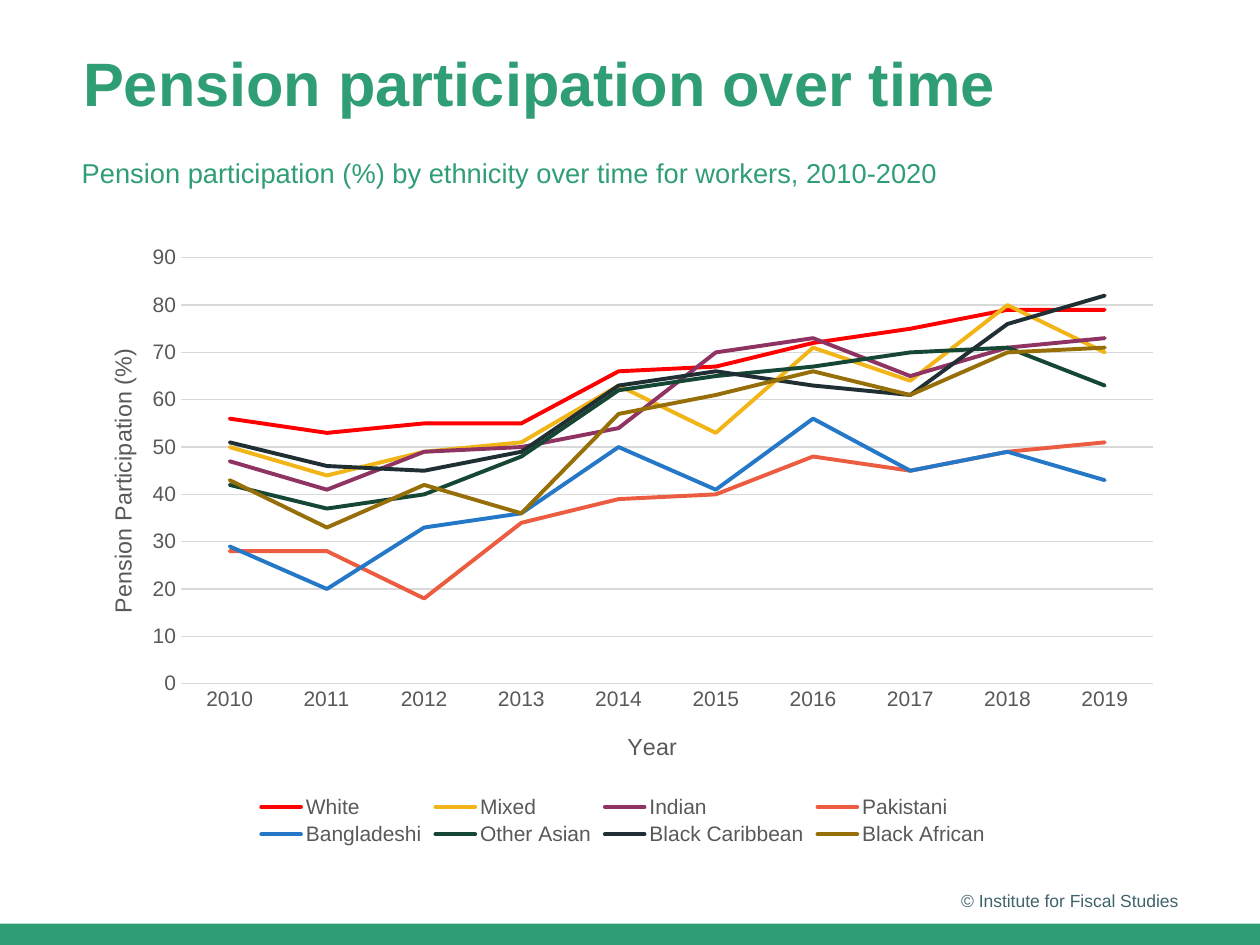
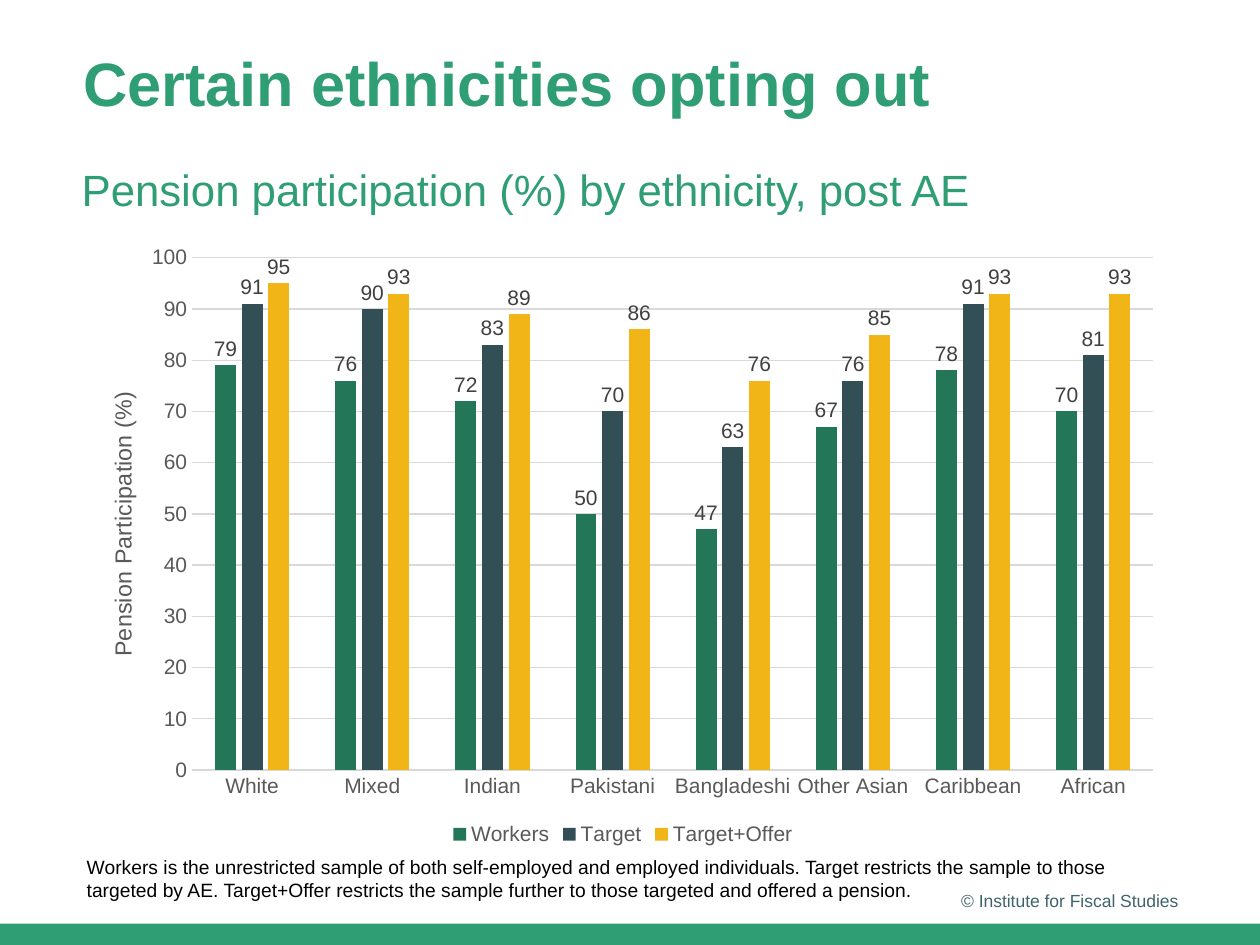
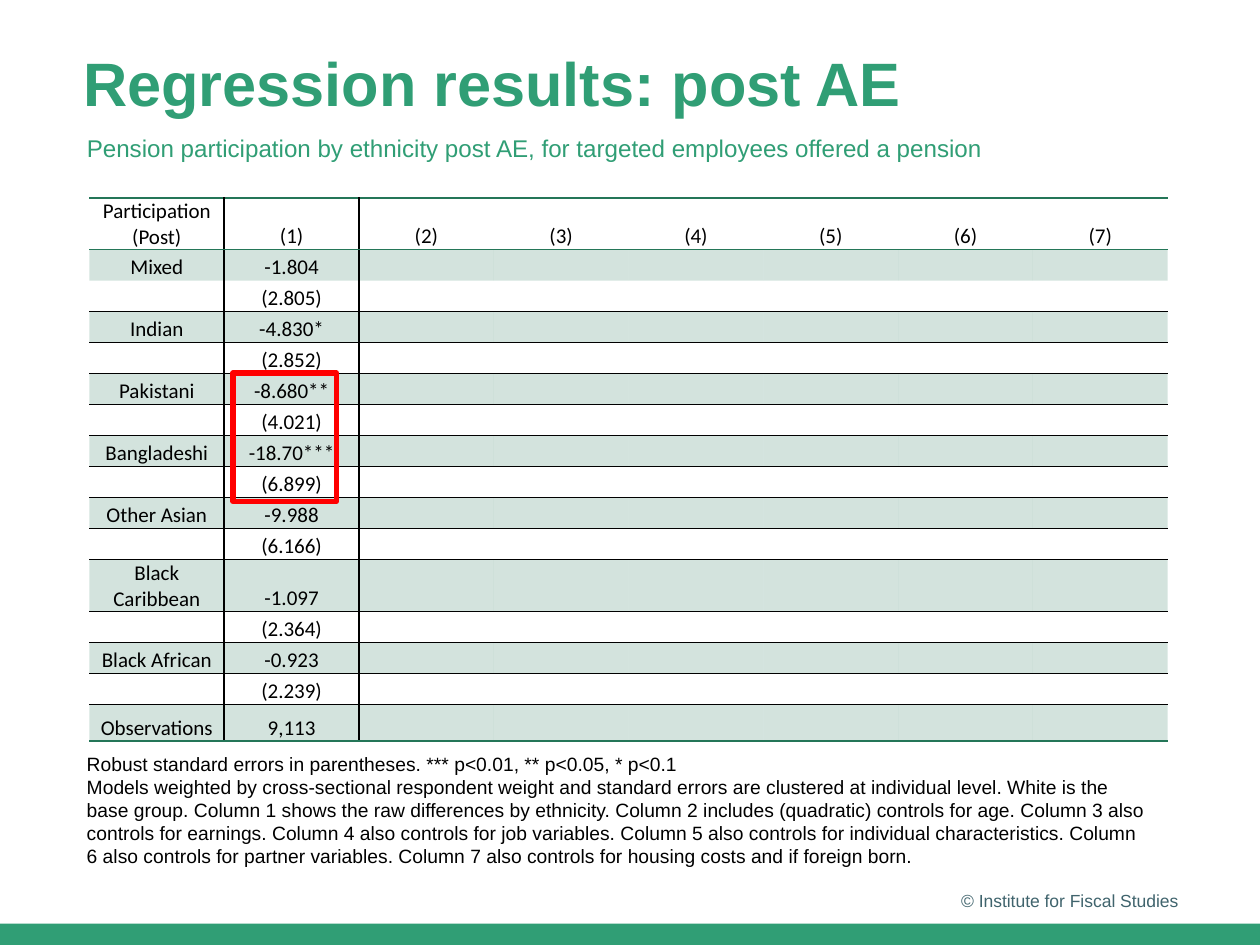
from lxml import etree
from pptx import Presentation
from pptx import util as u
from pptx.chart.data import CategoryChartData
from pptx.dml.color import RGBColor
from pptx.enum import chart as charts, shapes, text
from pptx.oxml.ns import qn

GREEN = RGBColor(0x30, 0x9E, 0x75)
DARK_GREEN = RGBColor(0x24, 0x76, 0x58)
SLATE = RGBColor(0x33, 0x4F, 0x56)
FOOTER_GREY = RGBColor(0x40, 0x64, 0x6D)
AXIS_GREY = RGBColor(0x59, 0x59, 0x59)
LABEL_GREY = RGBColor(0x40, 0x40, 0x40)
GRID_GREY = RGBColor(0xD9, 0xD9, 0xD9)
BLACK = RGBColor(0, 0, 0)
RED = RGBColor(0xFF, 0, 0)
YELLOW = RGBColor(0xF2, 0xB5, 0x17)
PLUM = RGBColor(0x8F, 0x33, 0x63)
CORAL = RGBColor(0xEB, 0x5C, 0x40)
BLUE = RGBColor(0x24, 0x78, 0xC7)
FOREST = RGBColor(0x16, 0x47, 0x35)
INK = RGBColor(0x1F, 0x2F, 0x34)
BRONZE = RGBColor(0x97, 0x6F, 0x08)

WIDTH, HEIGHT = 10, 7.5
BAND_HEIGHT = 0.17
CHART_BOX = (0.56, 1.85, 8.77, 4.9)
SUBTITLE_BOX = (0.55, 1.24, 7.52, 0.52)
TABLE_BOX = (0.71, 1.57, 8.56, 4.31)
TALL_ROW, LAST_ROW = 0.41, 0.29
NO_TABLE_STYLE = "{2D5ABB26-0587-4C30-8999-92F81FD0307C}"

YEARS = [str(year) for year in range(2010, 2020)]
TREND_SERIES = [
    ("White", RED, [56, 53, 55, 55, 66, 67, 72, 75, 79, 79]),
    ("Mixed", YELLOW, [50, 44, 49, 51, 63, 53, 71, 64, 80, 70]),
    ("Indian", PLUM, [47, 41, 49, 50, 54, 70, 73, 65, 71, 73]),
    ("Pakistani", CORAL, [28, 28, 18, 34, 39, 40, 48, 45, 49, 51]),
    ("Bangladeshi", BLUE, [29, 20, 33, 36, 50, 41, 56, 45, 49, 43]),
    ("Other Asian", FOREST, [42, 37, 40, 48, 62, 65, 67, 70, 71, 63]),
    ("Black Caribbean", INK, [51, 46, 45, 49, 63, 66, 63, 61, 76, 82]),
    ("Black African", BRONZE, [43, 33, 42, 36, 57, 61, 66, 61, 70, 71]),
]
ETHNICITIES = ["White", "Mixed", "Indian", "Pakistani", "Bangladeshi",
               "Other Asian", "Caribbean", "African"]
SAMPLE_SERIES = [
    ("Workers", DARK_GREEN, [79, 76, 72, 50, 47, 67, 78, 70]),
    ("Target", SLATE, [91, 90, 83, 70, 63, 76, 91, 81]),
    ("Target+Offer", YELLOW, [95, 93, 89, 86, 76, 85, 93, 93]),
]
ESTIMATES = [
    ("Mixed", "-1.804", "(2.805)"),
    ("Indian", "-4.830*", "(2.852)"),
    ("Pakistani", "-8.680**", "(4.021)"),
    ("Bangladeshi", "-18.70***", "(6.899)"),
    ("Other Asian", "-9.988", "(6.166)"),
    ("Black Caribbean", "-1.097", "(2.364)"),
    ("Black African", "-0.923", "(2.239)"),
]
SAMPLE_NOTE = (
    "Workers is the unrestricted sample of both self-employed and employed individuals. "
    "Target restricts the sample to those targeted by AE. Target+Offer restricts the sample "
    "further to those targeted and offered a pension.")
REGRESSION_NOTES = (
    "Robust standard errors in parentheses. *** p<0.01, ** p<0.05, * p<0.1",
    "Models weighted by cross-sectional respondent weight and standard errors are clustered "
    "at individual level. White is the base group. Column 1 shows the raw differences by "
    "ethnicity. Column 2 includes (quadratic) controls for age. Column 3 also controls for "
    "earnings. Column 4 also controls for job variables. Column 5 also controls for "
    "individual characteristics. Column 6 also controls for partner variables. Column 7 also "
    "controls for housing costs and if foreign born.")


def inches(box):
    return [u.Inches(length) for length in box]


def style_font(font, size, color, name="Arial", bold=False):
    font.size = u.Pt(size)
    font.name = name
    font.bold = bold
    font.color.rgb = color


def add_text(slide, box, paragraphs, size, color, line_spacing=None,
             align=text.PP_ALIGN.LEFT, anchor=text.MSO_ANCHOR.TOP):
    frame = slide.shapes.add_textbox(*inches(box)).text_frame
    frame.word_wrap = True
    frame.vertical_anchor = anchor
    frame.text = "\n".join(paragraphs)
    for paragraph in frame.paragraphs:
        paragraph.alignment = align
        paragraph.line_spacing = line_spacing
        style_font(paragraph.runs[0].font, size, color)


def add_rectangle(slide, box, fill=None, line=None):
    shape = slide.shapes.add_shape(shapes.MSO_SHAPE.RECTANGLE, *inches(box))
    shape.shadow.inherit = False
    if fill is None:
        shape.fill.background()
    else:
        shape.fill.solid()
        shape.fill.fore_color.rgb = fill
    if line is None:
        shape.line.fill.background()
    else:
        shape.line.color.rgb = line
        shape.line.width = u.Pt(3)


def add_titled_slide(presentation, title_text):
    """Add a slide with the shared title, bottom band and copyright footer."""
    slide = presentation.slides.add_slide(presentation.slide_layouts[5])
    title = slide.shapes.title
    title.left, title.top, title.width, title.height = inches((0.56, 0.37, 7.48, 0.63))
    frame = title.text_frame
    frame.text = title_text
    frame.auto_size = text.MSO_AUTO_SIZE.NONE
    frame.vertical_anchor = text.MSO_ANCHOR.MIDDLE
    paragraph = frame.paragraphs[0]
    paragraph.alignment = text.PP_ALIGN.LEFT
    paragraph.line_spacing = 0.9
    style_font(paragraph.runs[0].font, 35, GREEN, bold=True)
    add_rectangle(slide, (0, HEIGHT - BAND_HEIGHT, WIDTH, BAND_HEIGHT), fill=GREEN)
    add_text(slide, (7.2, 6.95, 2.25, 0.4), ["© Institute for Fiscal Studies"], 10,
             FOOTER_GREY, align=text.PP_ALIGN.RIGHT, anchor=text.MSO_ANCHOR.MIDDLE)
    return slide


def set_layout(element, position, **shares):
    """Place a chart part by shares of the chart's size."""
    for old_layout in element.findall(qn("c:layout")):
        element.remove(old_layout)
    layout = etree.Element(qn("c:layout"))
    element.insert(position, layout)
    manual = etree.SubElement(layout, qn("c:manualLayout"))
    if "w" in shares:
        etree.SubElement(manual, qn("c:layoutTarget")).set("val", "inner")
    for mode in ("xMode", "yMode"):
        etree.SubElement(manual, qn("c:" + mode)).set("val", "edge")
    for name, share in shares.items():
        etree.SubElement(manual, qn("c:" + name)).set("val", str(share))


def set_axis_title(axis, caption, x, y, rotation=0):
    axis_title = axis.axis_title
    frame = axis_title.text_frame
    frame.text = caption
    style_font(frame.paragraphs[0].runs[0].font, 13.3, AXIS_GREY)
    element = axis_title._element
    body = next(element.iter(qn("a:bodyPr")))
    body.set("rot", str(rotation * 60000))
    body.set("vert", "horz")
    set_layout(element, 1, x=x, y=y)


def style_axis(axis):
    axis.major_tick_mark = charts.XL_TICK_MARK.NONE
    axis.minor_tick_mark = charts.XL_TICK_MARK.NONE
    style_font(axis.tick_labels.font, 12, AXIS_GREY)


def add_participation_chart(slide, kind, categories, series_rows, maximum, plot_area, title_y):
    data = CategoryChartData(number_format="0")
    data.categories = categories
    for name, _, values in series_rows:
        data.add_series(name, values)
    chart = slide.shapes.add_chart(kind, *inches(CHART_BOX), data).chart
    style_font(chart.font, 10, BLACK)
    chart.has_title = False
    chart.has_legend = True
    chart.legend.position = charts.XL_LEGEND_POSITION.BOTTOM
    chart.legend.include_in_layout = False
    style_font(chart.legend.font, 12, AXIS_GREY)
    chart.plots[0].vary_by_categories = False

    style_axis(chart.category_axis)
    chart.category_axis.format.line.color.rgb = GRID_GREY
    chart.category_axis.format.line.width = u.Pt(0.75)

    value_axis = chart.value_axis
    style_axis(value_axis)
    value_axis.minimum_scale, value_axis.maximum_scale = 0, maximum
    value_axis.major_unit = 10
    value_axis.tick_labels.number_format = "0"
    value_axis.tick_labels.number_format_is_linked = False
    value_axis.format.line.fill.background()
    value_axis.major_gridlines.format.line.color.rgb = GRID_GREY
    value_axis.major_gridlines.format.line.width = u.Pt(0.75)
    set_axis_title(value_axis, "Pension Participation (%)", 0.03, title_y, rotation=-90)
    area = next(chart._chartSpace.iter(qn("c:plotArea")))
    set_layout(area, 0, **plot_area)
    return chart


def add_trend_chart(slide):
    chart = add_participation_chart(
        slide, charts.XL_CHART_TYPE.LINE, YEARS, TREND_SERIES, 90,
        dict(x=0.1, y=0.04, w=0.88, h=0.69), 0.18)
    set_axis_title(chart.category_axis, "Year", 0.5, 0.8)
    for series, (_, color, _) in zip(chart.series, TREND_SERIES):
        series.smooth = False
        series.marker.style = charts.XL_MARKER_STYLE.NONE
        series.format.line.color.rgb = color
        series.format.line.width = u.Pt(2.25)
        next(series._element.iter(qn("a:ln"))).set("cap", "rnd")


def add_sample_chart(slide):
    chart = add_participation_chart(
        slide, charts.XL_CHART_TYPE.COLUMN_CLUSTERED, ETHNICITIES, SAMPLE_SERIES, 100,
        dict(x=0.11, y=0.04, w=0.87, h=0.83), 0.25)
    plot = chart.plots[0]
    plot.gap_width, plot.overlap = 219, -27
    for series, (_, color, _) in zip(chart.series, SAMPLE_SERIES):
        series.format.fill.solid()
        series.format.fill.fore_color.rgb = color
        labels = series.data_labels
        labels.show_value = True
        labels.number_format = "0"
        labels.number_format_is_linked = False
        labels.position = charts.XL_LABEL_POSITION.OUTSIDE_END
        style_font(labels.font, 12, LABEL_GREY)


def set_borders(cell, **colors):
    """Give the cell one-point borders; sides are L, R, T and B, None for no line."""
    properties = cell._tc.get_or_add_tcPr()
    for position, side in enumerate("LRTB"):
        line = etree.Element(qn("a:ln" + side))
        properties.insert(position, line)
        color = colors.get(side)
        if color is None:
            etree.SubElement(line, qn("a:noFill"))
        else:
            line.set("w", str(u.Pt(1)))
            fill = etree.SubElement(line, qn("a:solidFill"))
            etree.SubElement(fill, qn("a:srgbClr")).set("val", str(color))


def fill_cell(cell, words, shaded):
    cell.margin_left = cell.margin_right = cell.margin_top = u.Inches(0.01)
    cell.margin_bottom = 0
    cell.vertical_anchor = text.MSO_ANCHOR.BOTTOM
    cell.text_frame.text = words
    paragraph = cell.text_frame.paragraphs[0]
    paragraph.alignment = text.PP_ALIGN.CENTER
    for run in paragraph.runs:
        style_font(run.font, 12, BLACK, "Calibri")
    if not words:
        etree.SubElement(paragraph._p, qn("a:endParaRPr")).set("sz", "1200")
    if shaded:
        cell.fill.solid()
        cell.fill.fore_color.rgb = DARK_GREEN
        color = next(cell._tc.tcPr.iter(qn("a:srgbClr")))
        etree.SubElement(color, qn("a:alpha")).set("val", "20000")
    else:
        cell.fill.background()


def add_regression_table(slide):
    rows = [["Participation (Post)"] + [f"({model})" for model in range(1, 8)]]
    for group, estimate, error in ESTIMATES:
        rows += [[group, estimate], ["", error]]
    rows.append(["Observations", "9,113"])
    last, columns = len(rows) - 1, len(rows[0])

    shape = slide.shapes.add_table(len(rows), columns, *inches(TABLE_BOX))
    table = shape.table
    table.first_row = table.horz_banding = False
    next(table._tbl.iter(qn("a:tableStyleId"))).text = NO_TABLE_STYLE
    tall_rows = (0, next(i for i, row in enumerate(rows) if row[0] == "Black Caribbean"))
    plain_height = (TABLE_BOX[3] - 2 * TALL_ROW - LAST_ROW) / (len(rows) - 3)

    # Lines above each row, then below the last one; none between Mixed and its error.
    rules = [DARK_GREEN, DARK_GREEN, None] + [BLACK] * (last - 2) + [DARK_GREEN]
    for i, row in enumerate(rows):
        height = TALL_ROW if i in tall_rows else LAST_ROW if i == last else plain_height
        table.rows[i].height = u.Inches(height)
        for j in range(columns):
            cell = table.cell(i, j)
            fill_cell(cell, row[j] if j < len(row) else "", shaded=i % 2 == 1)
            set_borders(cell, L=BLACK if j in (1, 2) else None,
                        R=BLACK if j in (0, 1) else None, T=rules[i], B=rules[i + 1])


def main():
    presentation = Presentation()
    presentation.slide_width, presentation.slide_height = inches((WIDTH, HEIGHT))

    slide = add_titled_slide(presentation, "Pension participation over time")
    add_trend_chart(slide)
    add_text(slide, SUBTITLE_BOX,
             ["Pension participation (%) by ethnicity over time for workers, 2010-2020"],
             15.6, GREEN, line_spacing=0.8)

    slide = add_titled_slide(presentation, "Certain ethnicities opting out")
    add_sample_chart(slide)
    add_text(slide, SUBTITLE_BOX, ["Pension participation (%) by ethnicity, post AE"], 25, GREEN)
    add_text(slide, (0.59, 6.74, 8.64, 0.47), [SAMPLE_NOTE], 11, BLACK)

    slide = add_titled_slide(presentation, "Regression results: post AE")
    add_text(slide, (0.59, 1.05, 7.52, 0.52),
             ["Pension participation by ethnicity post AE, for targeted employees offered a pension"],
             13.8, GREEN, line_spacing=0.8)
    add_regression_table(slide)
    add_text(slide, (0.59, 5.92, 8.64, 1.03), REGRESSION_NOTES, 11, BLACK)
    add_rectangle(slide, (1.85, 2.96, 0.82, 1.02), line=RED)

    presentation.save("out.pptx")


if __name__ == "__main__":
    main()
